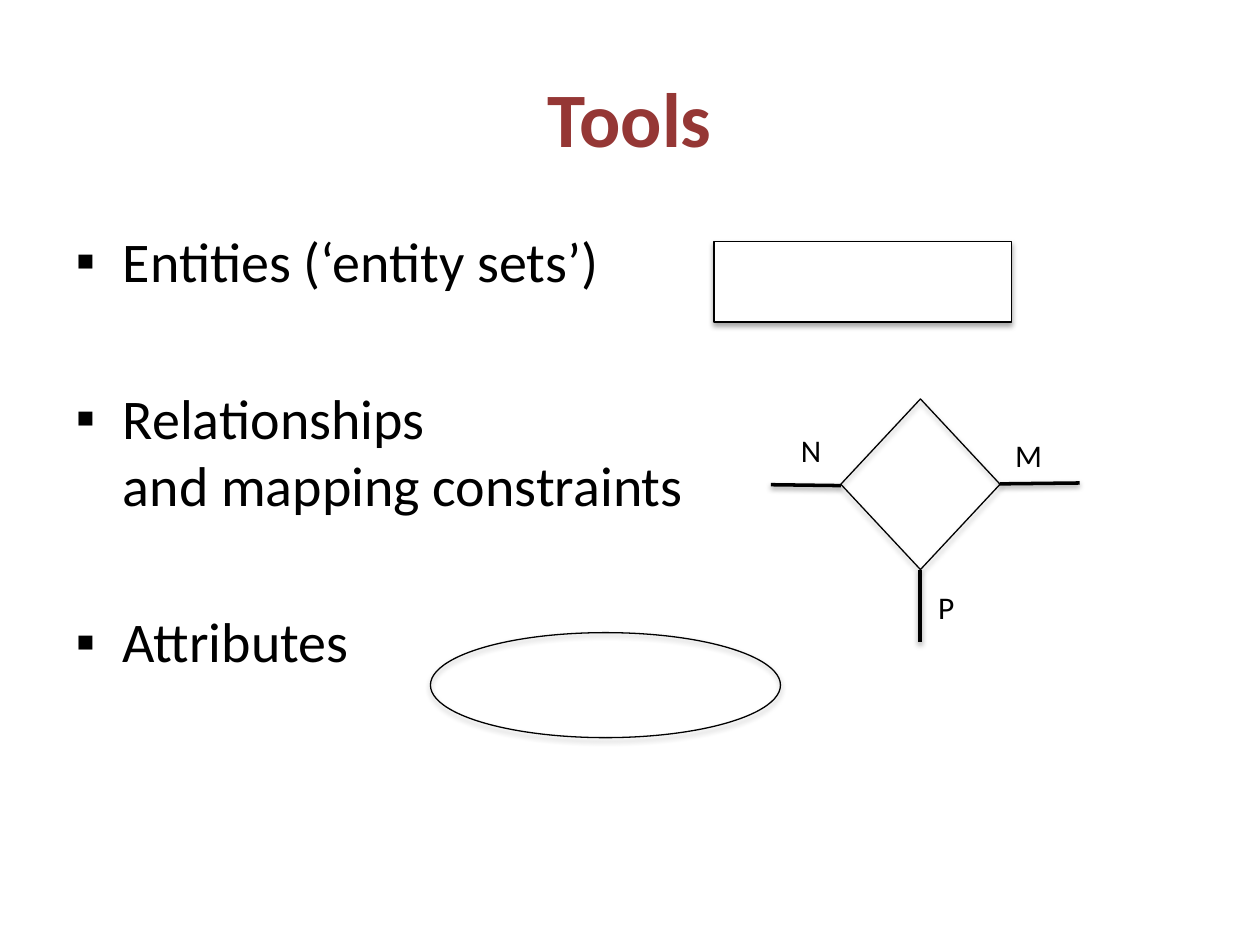
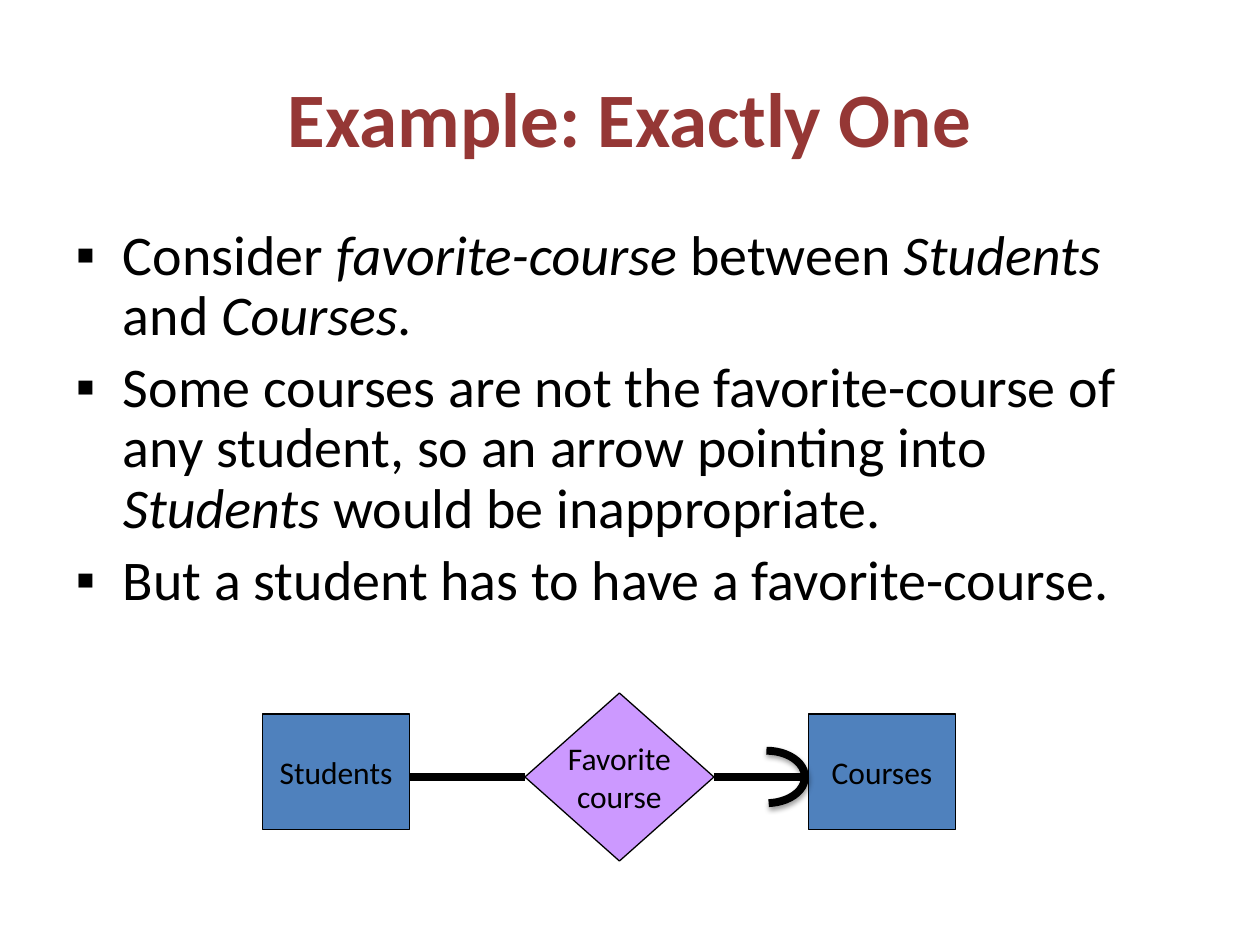
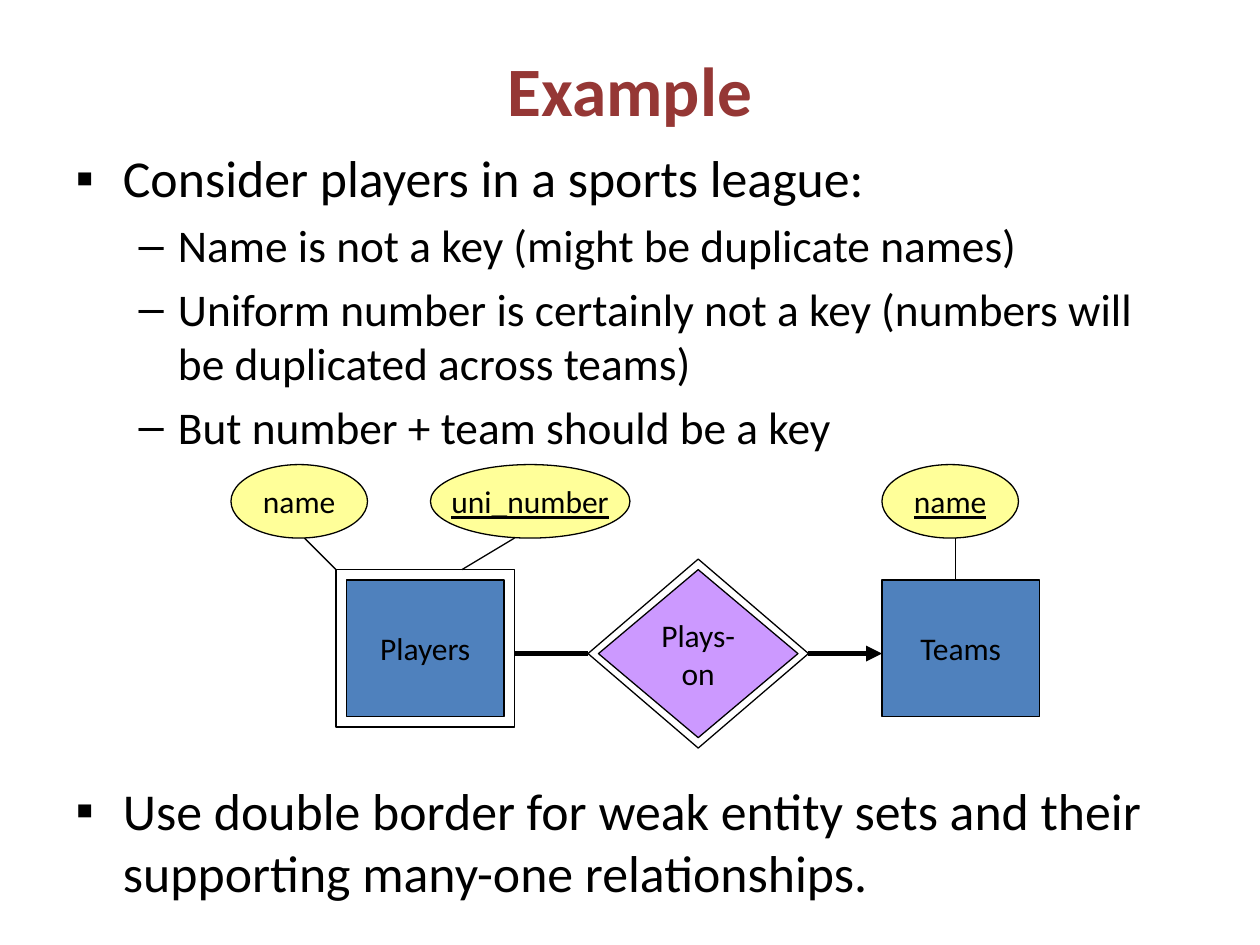
import pptx
import pptx.util
import pptx.dml.color
import pptx.enum.shapes
import pptx.enum.text
import pptx.oxml.ns
from lxml import etree

Pt = pptx.util.Pt
KIND = pptx.enum.shapes.MSO_SHAPE
ALIGN = pptx.enum.text.PP_ALIGN
MIDDLE = pptx.enum.text.MSO_ANCHOR.MIDDLE
FIXED = pptx.enum.text.MSO_AUTO_SIZE.NONE
FONT = "Calibri"
HUES = {"title": "953735", "ink": "000000", "paper": "FFFFFF",
        "entity": "4F81BD", "link": "CC99FF", "field": "FFFF99"}


def hue(name):
    return pptx.dml.color.RGBColor.from_string(HUES[name])


def node(parent, tag, **attrs):
    return etree.SubElement(parent, pptx.oxml.ns.qn(tag), attrs)


def write(frame, text, size=18, color="ink", bold=None, under=None,
          align=None, level=0, before=None, lines=None, mark=None):
    """Add one paragraph: *stars* enclose italics, a newline breaks the line."""
    para = frame.paragraphs[0]
    if para.runs:
        para = frame.add_paragraph()
    para.alignment, para.level = align, level
    if before is not None:
        para.space_before = Pt(before)
    if lines:
        para.line_spacing = lines
    if mark:
        node(para._p.get_or_add_pPr(), "a:buChar", char=mark)
    for turn, part in enumerate(text.split("*")):
        for row, piece in enumerate(part.split("\n")):
            if row:
                para.add_line_break()
            if not piece:
                continue
            run = para.add_run()
            run.text = piece
            font = run.font
            font.name, font.size = FONT, Pt(size)
            font.bold, font.underline = bold, under
            font.italic = turn % 2 == 1 or None
            font.color.rgb = hue(color)


class Deck:
    """Holds the style and the current slide."""

    def __init__(self):
        self.show = pptx.Presentation()
        self.show.slide_width, self.show.slide_height = Pt(720), Pt(540)

    def page(self, title, size=44, top=21.6, high=90):
        self.slide = self.show.slides.add_slide(self.show.slide_layouts[1])
        frame = self.hold(self.slide.shapes.title, top, high)
        frame.vertical_anchor = MIDDLE
        write(frame, title, size, "title", bold=True, align=ALIGN.CENTER)

    def hold(self, item, top, high):
        item.left, item.top, item.width, item.height = map(Pt, (36, top, 648, high))
        item.text_frame.auto_size = FIXED
        return item.text_frame

    def body(self, items, top=126, high=356.4, size=32, **style):
        """Each item is a text and the format that differs from the rest."""
        frame = self.hold(self.slide.placeholders[1], top, high)
        for text, extra in items:
            look = {"size": size, "mark": "▪", **style, **extra}
            write(frame, text, **look)

    def stroke(self, item, width, shade, alpha, gap):
        item.line.color.rgb = hue("ink")
        item.line.width = Pt(width)
        glow = node(item._element.spPr, "a:effectLst")
        if shade:
            cast = node(glow, "a:outerShdw", blurRad=str(Pt(3.1)), dist=str(Pt(gap)),
                        dir="5400000", rotWithShape="0")
            black = node(cast, "a:srgbClr", val=HUES["ink"])
            node(black, "a:alpha", val=str(alpha * 1000))

    def shape(self, kind, box, fill=None, text="", under=None, width=0.75,
              shade=False, alpha=35, gap=1.8):
        item = self.slide.shapes.add_shape(kind, *map(Pt, box))
        if fill:
            item.fill.solid()
            item.fill.fore_color.rgb = hue(fill)
        else:
            item.fill.background()
        self.stroke(item, width, shade, alpha, gap)
        if text:
            frame = item.text_frame
            frame.word_wrap, frame.vertical_anchor = False, MIDDLE
            for row in text.split("\n"):
                write(frame, row, under=under, align=ALIGN.CENTER)
        return item

    def ring(self, kind, box, gap=6):
        """Outer border that makes a shape double."""
        left, top, wide, high = box
        self.shape(kind, (left - gap, top - gap, wide + 2 * gap, high + 2 * gap))

    def line(self, x1, y1, x2, y2, width=0.75, shade=False, arrow=False):
        item = self.slide.shapes.add_connector(
            pptx.enum.shapes.MSO_CONNECTOR.STRAIGHT, *map(Pt, (x1, y1, x2, y2)))
        self.stroke(item, width, shade, 38, 1.6)
        if arrow:
            edge = item._element.spPr.find(pptx.oxml.ns.qn("a:ln"))
            node(edge, "a:tailEnd", type="triangle")

    def label(self, left, top, text):
        item = self.slide.shapes.add_textbox(*map(Pt, (left, top, 26, 29)))
        item.text_frame.word_wrap = True
        write(item.text_frame, text)


def tools(deck):
    deck.page("Tools")
    deck.body([("Entities (‘entity sets’)", {}),
               ("Relationships \nand mapping constraints", {"before": 51}),
               ("Attributes", {"before": 51})])
    # Symbols
    deck.shape(KIND.RECTANGLE, (408, 138, 170, 46), "paper", shade=True)
    deck.shape(KIND.DIAMOND, (480.5, 228, 91, 97.5), shade=True)
    deck.shape(KIND.OVAL, (246, 361.5, 200, 60), shade=True)
    # Arms of the diamond
    for ends in ((571.5, 276.5, 617, 276), (440.5, 277, 480.5, 277.5),
                 (525.75, 367, 525.75, 325.5)):
        deck.line(*ends, width=2, shade=True)
    for left, top, text in ((450.5, 242.5, "N"), (573, 245.5, "M"), (529, 332.5, "P")):
        deck.label(left, top, text)


def exact(deck):
    deck.page("Example: Exactly One")
    deck.body([("Consider *favorite-course* between *Students *and *Courses*.", {}),
               ("Some courses are not the favorite-course of any student, "
                "so an arrow pointing into *Students *would be inappropriate.", {}),
               ("But a student has to have a favorite-course.", {})], lines=0.9)
    # Entities and their relationship
    for left, text in ((150, "Students"), (462, "Courses")):
        deck.shape(KIND.RECTANGLE, (left, 408, 84, 66), "entity", text)
    deck.shape(KIND.DIAMOND, (300, 396, 108, 96), "link", "Favorite\ncourse")
    for start, end, width in ((408, 462, 4.5), (300, 234, 4.5), (408, 414, 0.75)):
        deck.line(start, 444, end, 444, width)
    # Rounded arrowhead
    arc = deck.shape(KIND.ARC, (416, 429, 44, 30), width=4.5,
                     shade=True, alpha=38, gap=1.6)
    arc.adjustments[0], arc.adjustments[1] = 162, 51.05


def league(deck):
    deck.page("Example", size=39.6, high=58.3)
    sub = {"level": 1, "size": 25.9, "mark": None}
    deck.body([("Consider players in a sports league:", {}),
               ("Name is not a key (might be duplicate names)", sub),
               ("Uniform number is certainly not a key "
                "(numbers will be duplicated across teams)", sub),
               ("But number + team should be a key", sub),
               ("Use double border for weak entity sets and their "
                "supporting many-one relationships.", {"before": 186})],
              top=79.9, high=420.5, size=29.6)
    # Entities and relationship, weak ones with a double border
    weak, bond = (198, 331.5, 90, 78), (342, 325.5, 114, 96)
    deck.shape(KIND.RECTANGLE, weak, "entity", "Players")
    deck.shape(KIND.RECTANGLE, (504, 331.5, 90, 78), "entity", "Teams")
    deck.ring(KIND.RECTANGLE, weak)
    deck.shape(KIND.DIAMOND, bond, "link", "Plays-\non")
    deck.ring(KIND.DIAMOND, bond)
    # Attributes, keys underlined
    for left, wide, text, key in ((132, 78, "name", None), (504, 78, "name", True),
                                  (246, 114, "uni_number", True)):
        deck.shape(KIND.OVAL, (left, 265.5, wide, 42), "field", text, under=key)
    # Links
    deck.line(294, 373.5, 336, 373.5, 3)
    deck.line(462, 373.5, 504, 373.5, 3, arrow=True)
    for start, end, foot in ((174, 192, 325.5), (294, 264, 325.5), (546, 546, 331.5)):
        deck.line(start, 307.5, end, foot)


def main():
    deck = Deck()
    for build in (tools, exact, league):
        build(deck)
    deck.show.save("out.pptx")


if __name__ == "__main__":
    main()
